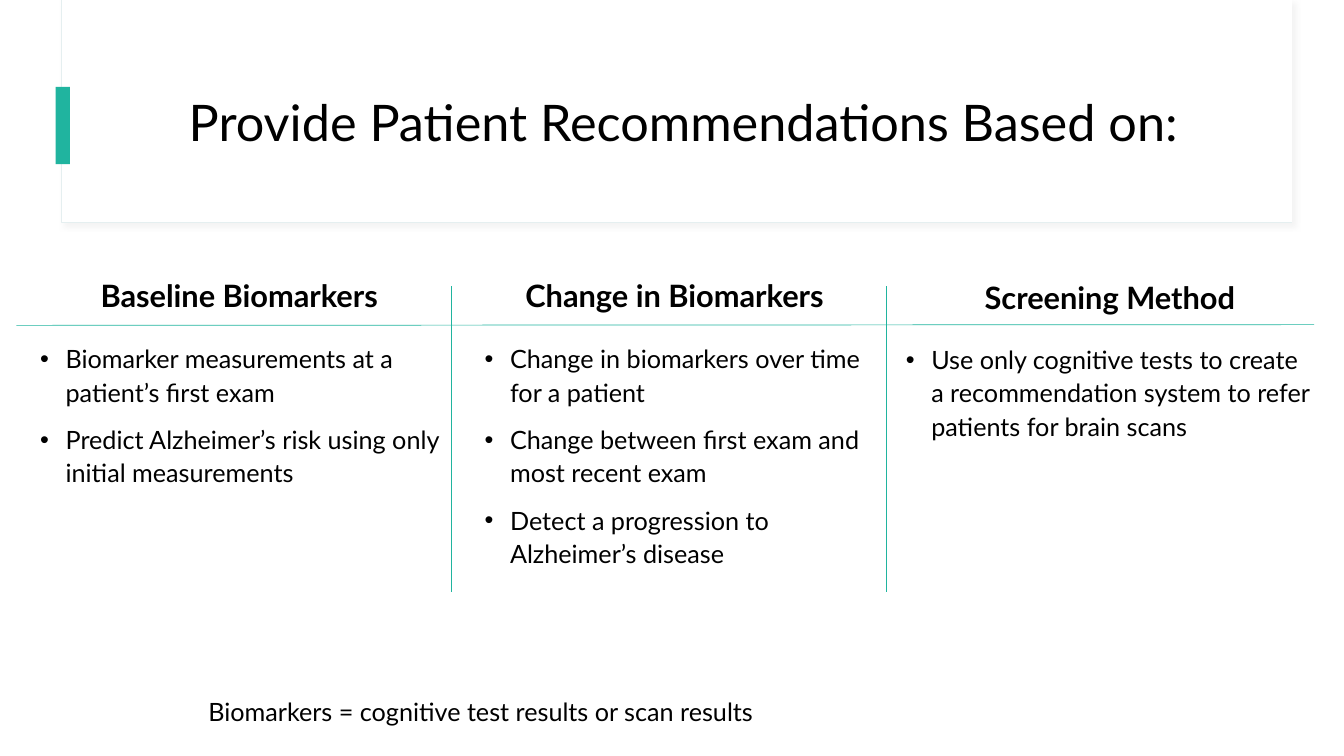
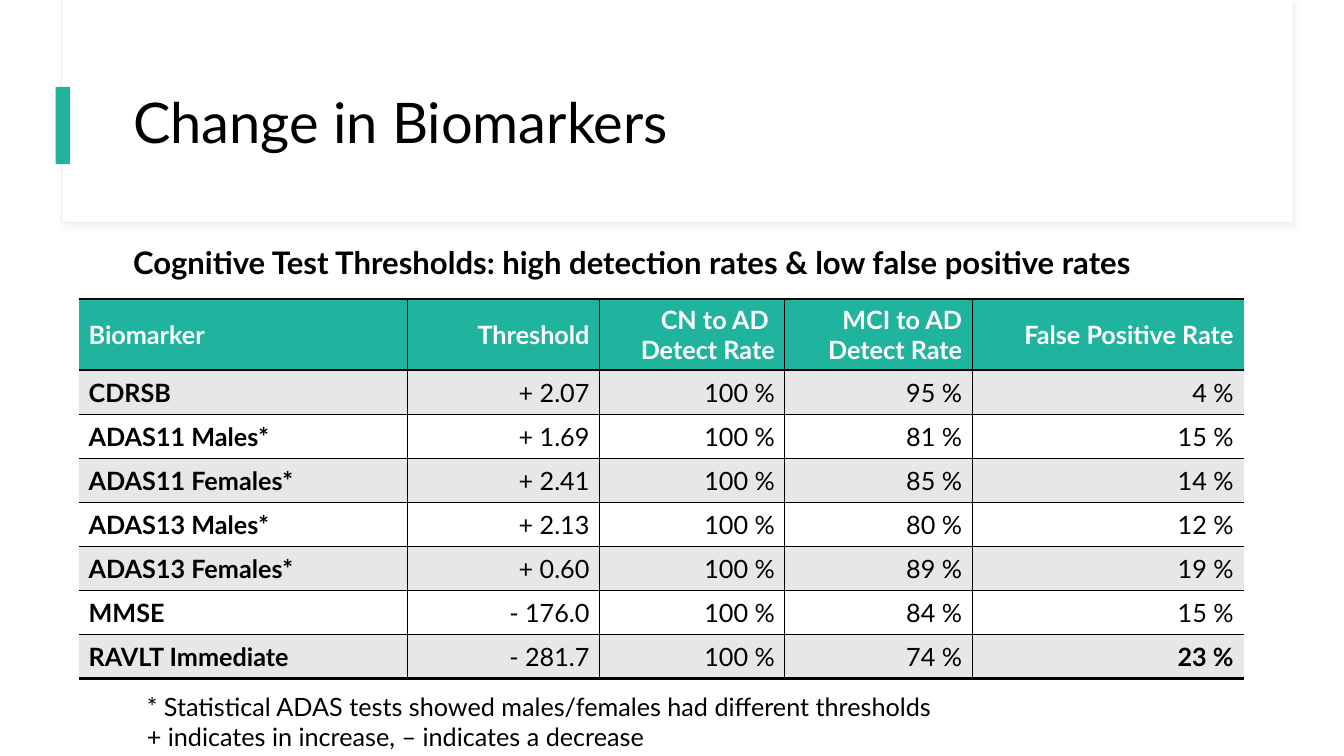
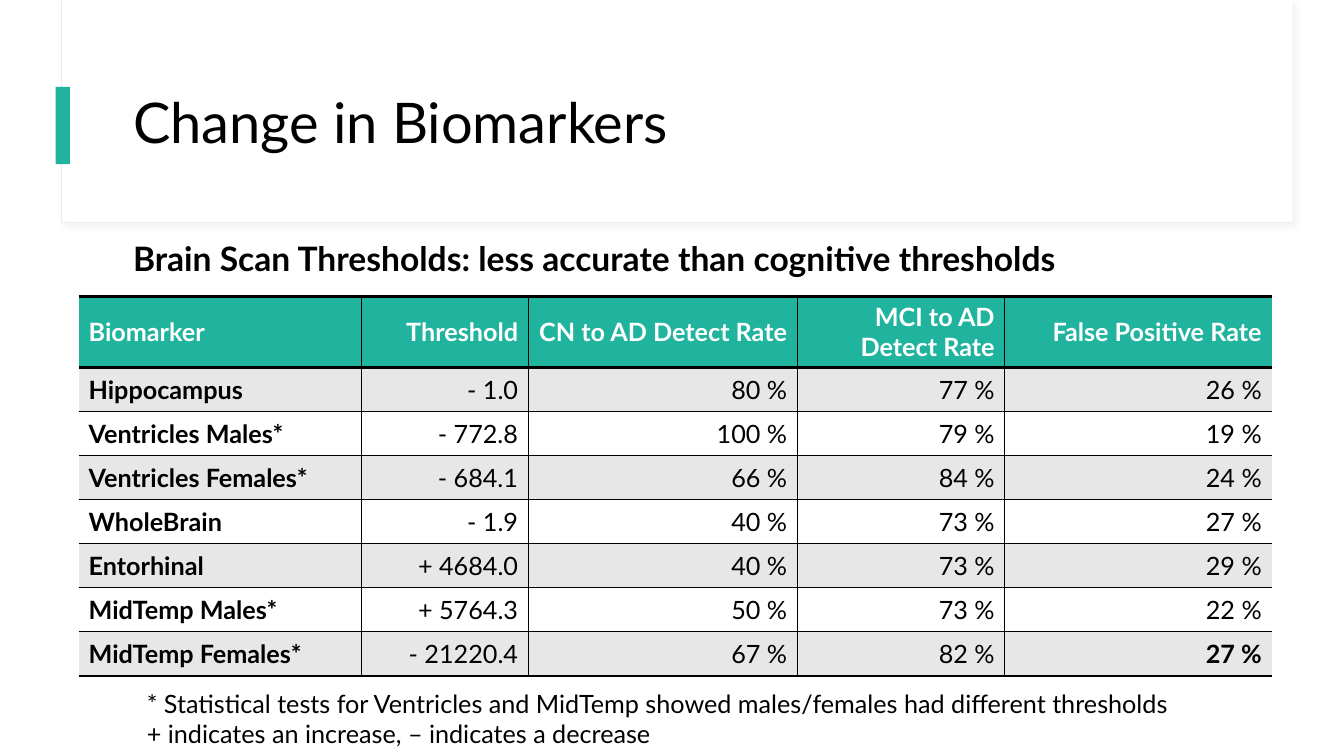
from lxml import etree
from pptx import Presentation
from pptx.dml.color import RGBColor
from pptx.enum.shapes import MSO_CONNECTOR as CONN, MSO_SHAPE as SHAPE
from pptx.enum.text import MSO_ANCHOR as ANCHOR, MSO_AUTO_SIZE as AUTO, PP_ALIGN as ALIGN
from pptx.oxml.ns import qn
from pptx.util import Cm, Pt

# Content
METHODS = [
    ("Baseline Biomarkers", ["Biomarker measurements at a patient’s first exam",
                             "Predict Alzheimer’s risk using only initial measurements"]),
    ("Change in Biomarkers", ["Change in biomarkers over time for a patient",
                              "Change between first exam and most recent exam",
                              "Detect a progression to Alzheimer’s disease"]),
    ("Screening Method", ["Use only cognitive tests to create a recommendation system "
                          "to refer patients for brain scans"]),
]
METHODS_NOTE = ["Biomarkers = cognitive test results or scan results"]

COGNITIVE = dict(
    heading="Cognitive Test Thresholds: high detection rates & low false positive rates",
    heading_size=22.2, top=7.54, widths=[8.28, 4.85, 4.67, 4.72, 6.84],
    rows=[
        ("Biomarker", "Threshold", "CN to AD \nDetect Rate", "MCI to AD\nDetect Rate",
         "False Positive Rate"),
        ("CDRSB", "+ 2.07", "100 %", "95 %", "4 %"),
        ("ADAS11 Males*", "+ 1.69", "100 %", "81 %", "15 %"),
        ("ADAS11 Females*", "+ 2.41", "100 %", "85 %", "14 %"),
        ("ADAS13 Males*", "+ 2.13", "100 %", "80 %", "12 %"),
        ("ADAS13 Females*", "+ 0.60", "100 %", "89 %", "19 %"),
        ("MMSE", "- 176.0", "100 %", "84 %", "15 %"),
        ("RAVLT Immediate", "- 281.7", "100 %", "74 %", "23 %"),
    ],
    note=["* Statistical ADAS tests showed males/females had different thresholds",
          "+ indicates in increase, – indicates a decrease"])

SCANS = dict(
    heading="Brain Scan Thresholds: less accurate than cognitive thresholds",
    heading_size=24, top=7.47, widths=[7.14, 4.19, 6.78, 5.23, 6.73],
    rows=[
        ("Biomarker", "Threshold", "CN to AD Detect Rate", "MCI to AD Detect Rate",
         "False Positive Rate"),
        ("Hippocampus", "- 1.0", "80 %", "77 %", "26 %"),
        ("Ventricles Males*", "- 772.8", "100 %", "79 %", "19 %"),
        ("Ventricles Females*", "- 684.1", "66 %", "84 %", "24 %"),
        ("WholeBrain", "- 1.9", "40 %", "73 %", "27 %"),
        ("Entorhinal", "+ 4684.0", "40 %", "73 %", "29 %"),
        ("MidTemp Males*", "+ 5764.3", "50 %", "73 %", "22 %"),
        ("MidTemp Females*", "- 21220.4", "67 %", "82 %", "27 %"),
    ],
    note=["* Statistical tests for Ventricles and MidTemp showed males/females "
          "had different thresholds",
          "+ indicates an increase, – indicates a decrease"])

# Style
FONT = "Lato"
BLACK = RGBColor(0x00, 0x00, 0x00)
WHITE = RGBColor(0xFF, 0xFF, 0xFF)
TEAL = RGBColor(0x20, 0xB4, 0x9F)
PALE = RGBColor(0xE5, 0xEF, 0xF0)
GREY = RGBColor(0xE7, 0xE7, 0xE7)
SHADOW = RGBColor(0xD9, 0xD9, 0xD9)
BODY = dict(spacing=1.1, before=10)

prs = Presentation()
prs.slide_width, prs.slide_height = Cm(33.87), Cm(19.05)
TITLE_BODY, COMPARISON = prs.slide_layouts[1], prs.slide_layouts[4]


def place(sp, left, top, width, height):
    sp.left, sp.top, sp.width, sp.height = Cm(left), Cm(top), Cm(width), Cm(height)
    return sp


def write(tf, lines, size=18, bold=False, color=BLACK, align=ALIGN.LEFT, spacing=1.0,
          before=0, bullet=False):
    """Fill a text frame, one paragraph per line."""
    tf.word_wrap = True
    for i, line in enumerate(lines):
        p = tf.paragraphs[0] if i == 0 else tf.add_paragraph()
        p.alignment, p.line_spacing, p.space_before = align, spacing, Pt(before)
        pPr = p._p.get_or_add_pPr()
        indent = Cm(0.64) if bullet else 0
        pPr.set("marL", str(indent))
        pPr.set("indent", str(-indent))
        if bullet:
            etree.SubElement(pPr, qn("a:buFont")).set("typeface", "Arial")
            etree.SubElement(pPr, qn("a:buChar")).set("char", "•")
        else:
            etree.SubElement(pPr, qn("a:buNone"))
        r = p.add_run()
        r.text = line
        r.font.name, r.font.size, r.font.bold = FONT, Pt(size), bold
        r.font.color.rgb = color


def write_in(sp, lines, anchor=ANCHOR.TOP, **fmt):
    tf = sp.text_frame
    tf.auto_size, tf.vertical_anchor = AUTO.NONE, anchor
    write(tf, lines, **fmt)


def add_note(s, lines, left, top, width):
    write_in(place(s.shapes.add_textbox(0, 0, 0, 0), left, top, width, 1.6), lines)


def add_slide(layout, title, size=40, align=ALIGN.LEFT):
    s = prs.slides.add_slide(layout)
    write_in(place(s.shapes.title, 3.1, 1.52, 28.24, 3.28), [title], ANCHOR.MIDDLE,
             size=size, align=align, spacing=0.9)
    return s


def add_line(s, x1, y1, x2, y2):
    line = s.shapes.add_connector(CONN.STRAIGHT, Cm(x1), Cm(y1), Cm(x2), Cm(y2))
    line.line.color.rgb, line.line.width = TEAL, Pt(0.5)
    etree.SubElement(line._element.spPr, qn("a:effectLst"))


def add_master_frame(s):
    """Draw the title frame and accent bar, then hand them to the slide master."""
    boxes = [(1.55, 0, 31.01, 5.61, WHITE, PALE), (1.57, 0, 30.99, 5.59, WHITE, None),
             (1.4, 2.19, 0.36, 1.95, TEAL, None)]
    tree = prs.slide_master.shapes._spTree
    for i, (left, top, width, height, fill, line) in enumerate(boxes):
        sp = s.shapes.add_shape(SHAPE.RECTANGLE, Cm(left), Cm(top), Cm(width), Cm(height))
        sp.fill.solid()
        sp.fill.fore_color.rgb = fill
        sp.shadow.inherit = False
        if line is None:
            sp.line.fill.background()
        else:
            sp.line.color.rgb, sp.line.width = line, Pt(0.75)
            effects = sp._element.spPr.find(qn("a:effectLst"))
            shadow = etree.SubElement(effects, qn("a:outerShdw"), blurRad=str(Pt(4)),
                                      dist=str(Pt(3)), dir="2700000", algn="tl")
            rgb = etree.SubElement(shadow, qn("a:srgbClr"), val=str(SHADOW))
            etree.SubElement(rgb, qn("a:alpha"), val="30000")
        sp._element.nvSpPr.cNvPr.set("id", str(100 + i))
        tree.insert(2 + i, sp._element)


def set_borders(cell, **widths):
    """Widths in points for L, R, T and B; zero hides the side."""
    tcPr = cell._tc.get_or_add_tcPr()
    for i, side in enumerate("LRTB"):
        ln = etree.Element(qn("a:ln" + side), w=str(Pt(widths[side])))
        if widths[side]:
            fill = etree.SubElement(ln, qn("a:solidFill"))
            etree.SubElement(fill, qn("a:srgbClr"), val=str(BLACK))
        else:
            etree.SubElement(ln, qn("a:noFill"))
        tcPr.insert(i, ln)


def add_threshold_table(s, rows, widths, top):
    heights = [1.79] + [1.11] * (len(rows) - 1)
    table = s.shapes.add_table(len(rows), len(widths), Cm(1.98), Cm(top),
                               Cm(sum(widths)), Cm(sum(heights))).table
    for column, width in zip(table.columns, widths):
        column.width = Cm(width)
    last_row, last_col = len(rows) - 1, len(widths) - 1
    for i, row in enumerate(rows):
        table.rows[i].height = Cm(heights[i])
        for j, text in enumerate(row):
            cell = table.cell(i, j)
            cell.vertical_anchor = ANCHOR.MIDDLE
            cell.fill.solid()
            cell.fill.fore_color.rgb = TEAL if i == 0 else GREY if i % 2 else WHITE
            write(cell.text_frame, text.split("\n"),
                  bold=i == 0 or j == 0 or (i, j) == (last_row, last_col),
                  color=WHITE if i == 0 else BLACK,
                  align=ALIGN.RIGHT if j else ALIGN.LEFT)
            set_borders(cell, L=int(j > 0), R=int(j < last_col),
                        T=2 if i <= 1 else 1, B=2 if i in (0, last_row) else 1)


# Slide 1: three methods side by side
s = add_slide(COMPARISON, "Provide Patient Recommendations Based on:", 36, ALIGN.CENTER)
add_master_frame(s)
holders = {sp.placeholder_format.idx: sp for sp in s.placeholders}
heads = [holders[1], holders[3], s.shapes.add_textbox(0, 0, 0, 0)]
lists = [holders[2], holders[4], s.shapes.add_textbox(0, 0, 0, 0)]
HEAD_TOPS, LIST_TOPS = [5.74, 5.74, 5.79], [8.46, 8.46, 8.48]
LIST_SPANS = [(0.76, 10.82), (11.96, 10.31), (22.58, 10.82)]
for i, (head, points) in enumerate(METHODS):
    write_in(place(heads[i], 0.48 + 10.97 * i, HEAD_TOPS[i], 11.1, 2.29), [head],
             ANCHOR.BOTTOM, size=22, bold=True, align=ALIGN.CENTER, **BODY)
    left, width = LIST_SPANS[i]
    write_in(place(lists[i], left, LIST_TOPS[i], width, 8.25), points, bullet=True, **BODY)
add_line(s, 0.41, 8.2, 33.12, 8.18)
for x in (11.38, 22.33):
    add_line(s, x, 7.21, x, 14.91)
add_note(s, METHODS_NOTE, 5, 17.42, 14.86)

# Slides 2 and 3: threshold tables
for data in (COGNITIVE, SCANS):
    s = add_slide(TITLE_BODY, "Change in Biomarkers")
    top = data["top"]
    write_in(place(s.placeholders[1], 3.1, top - 1.98, 28.24, 1.65), [data["heading"]],
             ANCHOR.BOTTOM, size=data["heading_size"], bold=True, **BODY)
    add_threshold_table(s, data["rows"], data["widths"], top)
    add_note(s, data["note"], 3.45, top + 9.75, 28)

prs.save("out.pptx")
